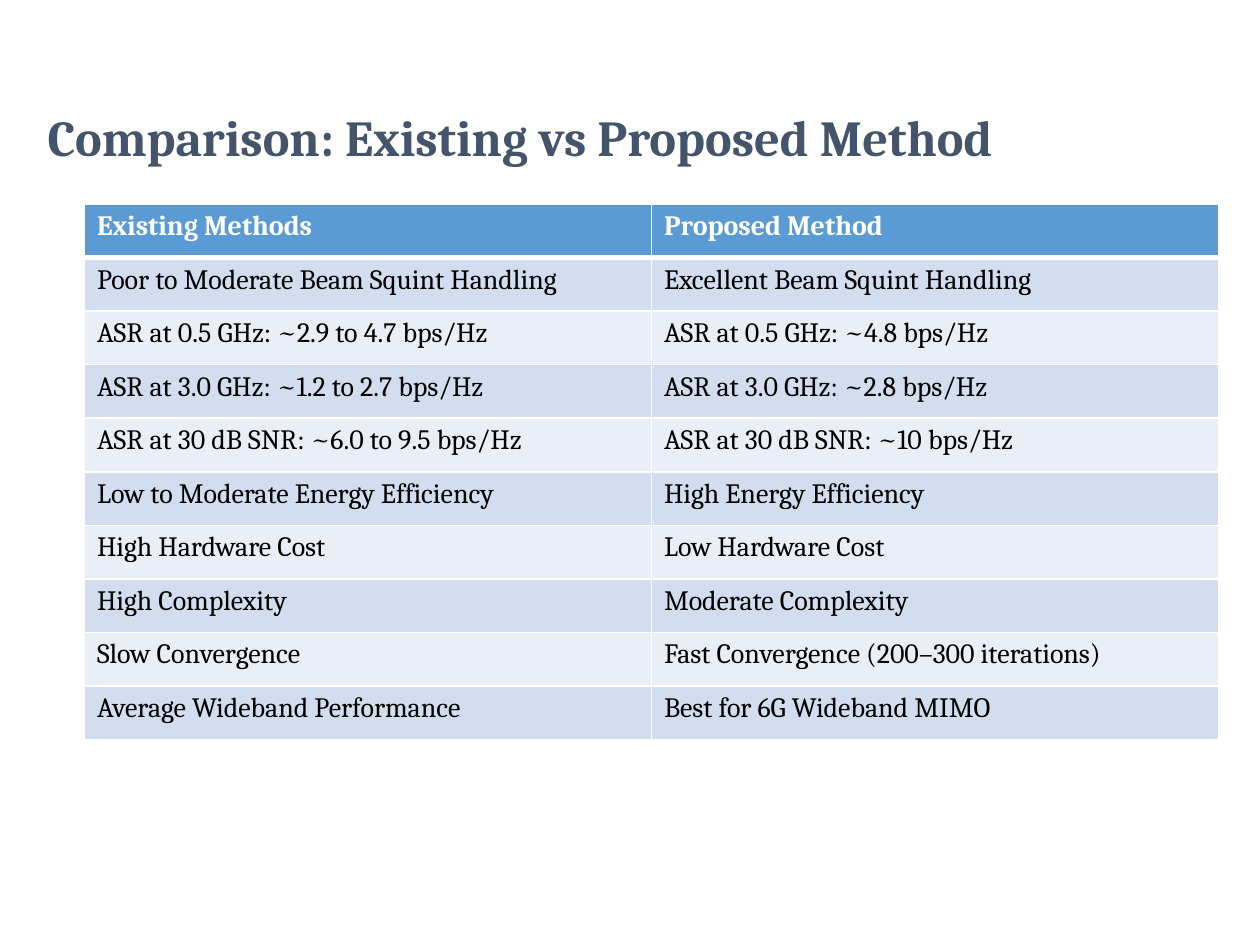
"""Build a slide with a table comparing existing and proposed methods."""
from lxml import etree
from pptx import Presentation
from pptx.dml import color
from pptx.enum import text
from pptx.oxml import ns
from pptx.util import Inches, Pt

TITLE = color.RGBColor(0x44, 0x54, 0x6A)
HEADER = color.RGBColor(0x5B, 0x9B, 0xD5)
BAND_DARK = color.RGBColor(0xD2, 0xDE, 0xEF)
BAND_LIGHT = color.RGBColor(0xEA, 0xEF, 0xF7)
WHITE = color.RGBColor(0xFF, 0xFF, 0xFF)
BLACK = color.RGBColor(0x00, 0x00, 0x00)

ROWS = [
    ("Existing Methods", "Proposed Method"),
    ("Poor to Moderate Beam Squint Handling", "Excellent Beam Squint Handling"),
    ("ASR at 0.5 GHz: ~2.9 to 4.7 bps/Hz", "ASR at 0.5 GHz: ~4.8 bps/Hz"),
    ("ASR at 3.0 GHz: ~1.2 to 2.7 bps/Hz", "ASR at 3.0 GHz: ~2.8 bps/Hz"),
    ("ASR at 30 dB SNR: ~6.0 to 9.5 bps/Hz", "ASR at 30 dB SNR: ~10 bps/Hz"),
    ("Low to Moderate Energy Efficiency", "High Energy Efficiency"),
    ("High Hardware Cost", "Low Hardware Cost"),
    ("High Complexity", "Moderate Complexity"),
    ("Slow Convergence", "Fast Convergence (200–300 iterations)"),
    ("Average Wideband Performance", "Best for 6G Wideband MIMO"),
]


def add_run(p, words, size, rgb, bold):
    r = p.add_run()
    r.text = words
    r.font.name = "Cambria"
    r.font.size = Pt(size)
    r.font.bold = bold
    r.font.color.rgb = rgb


def add_border(cell, side, width):
    tc_pr = cell._tc.get_or_add_tcPr()
    ln = etree.SubElement(tc_pr, ns.qn("a:" + side), w=str(Pt(width)))
    fill = etree.SubElement(ln, ns.qn("a:solidFill"))
    etree.SubElement(fill, ns.qn("a:srgbClr"), val=str(WHITE))


prs = Presentation()
prs.slide_width, prs.slide_height = Inches(10), Inches(7.5)
s = prs.slides.add_slide(prs.slide_layouts[6])

sp = s.shapes.add_textbox(Inches(0.28), Inches(0.81), Inches(8.62), Inches(0.6))
tf = sp.text_frame
tf.word_wrap = True
tf.vertical_anchor = text.MSO_ANCHOR.MIDDLE
p = tf.paragraphs[0]
p.line_spacing = 0.9
add_run(p, "Comparison: Existing vs Proposed Method", 28.8, TITLE, True)

table = s.shapes.add_table(
    len(ROWS), 2, Inches(0.67), Inches(1.62), Inches(9), Inches(4.25)
).table

for i, row in enumerate(ROWS):
    is_header = i == 0
    band = HEADER if is_header else BAND_DARK if i % 2 else BAND_LIGHT
    for j, words in enumerate(row):
        cell = table.cell(i, j)
        for side in ("lnL", "lnR", "lnT", "lnB"):
            thick = (i, side) in ((0, "lnB"), (1, "lnT"))
            add_border(cell, side, 3 if thick else 1)
        cell.fill.solid()
        cell.fill.fore_color.rgb = band
        add_run(cell.text_frame.paragraphs[0], words, 16,
                WHITE if is_header else BLACK, is_header)

prs.save("out.pptx")
